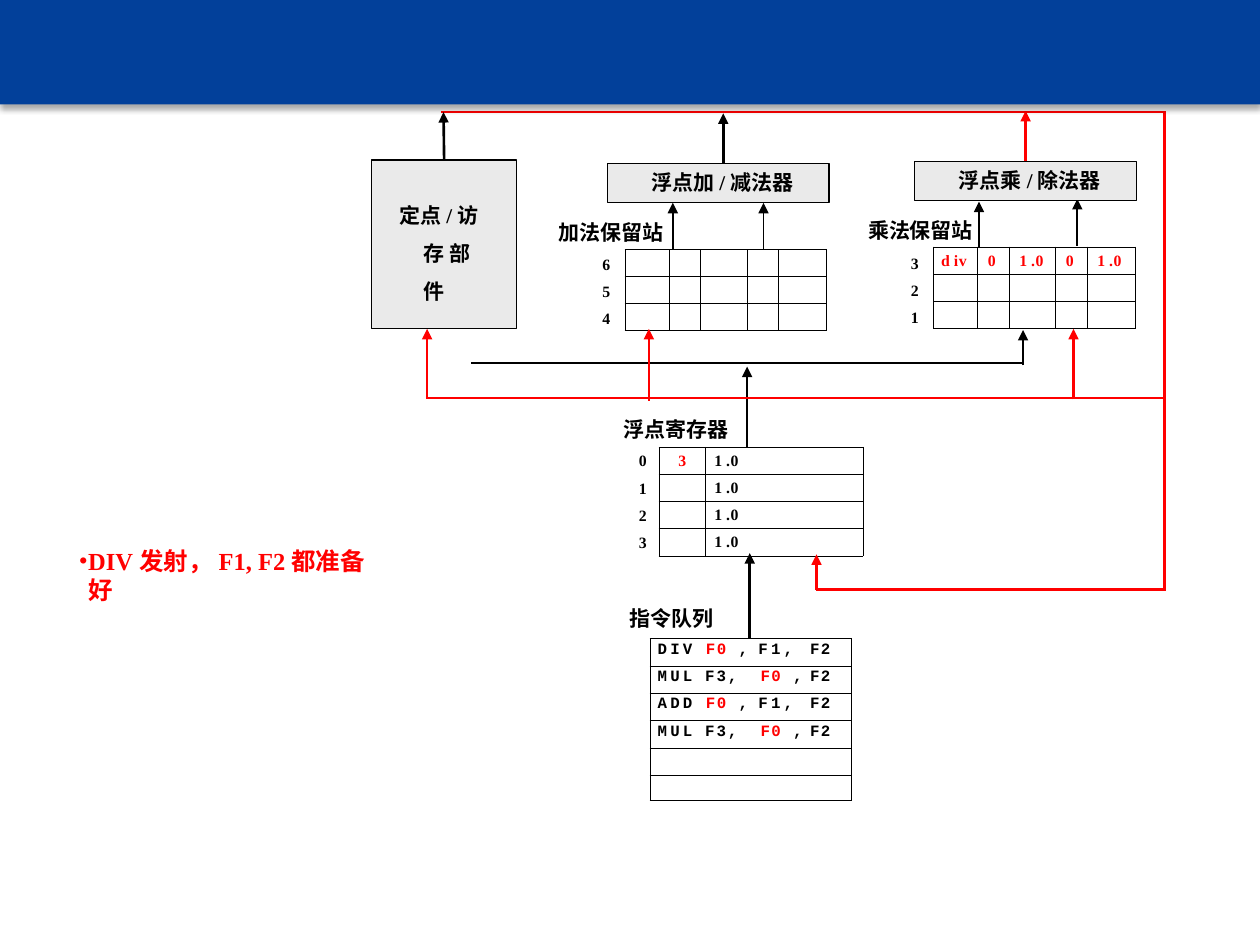
from dataclasses import dataclass, field
from itertools import groupby
from typing import NamedTuple, Optional

from lxml import etree
from pptx import Presentation
from pptx.dml.color import RGBColor
from pptx.enum import shapes, text
from pptx.oxml import ns
from pptx.util import Inches, Pt

COLORS = {"black": "000000", "red": "FF0000", "gray": "EAEAEA", "blue": "02409A"}
LATIN, CJK, MONO = "Times New Roman", "Noto Sans CJK SC", "Courier New"
LEFT, CENTER, RIGHT = text.PP_ALIGN.LEFT, text.PP_ALIGN.CENTER, text.PP_ALIGN.RIGHT


class Run(NamedTuple):
    text: str
    color: str = "black"
    spacing: float = 0


class Wire(NamedTuple):
    start: tuple
    end: tuple
    color: str = "black"
    arrow: bool = True
    width: float = 1.5


class Label(NamedTuple):
    text: str
    left: float
    top: float
    width: float


class Unit(NamedTuple):
    text: str
    left: float
    top: float
    width: float
    height: float
    insets: tuple
    indent: tuple
    line_spacing: float = 1.0


class RowNumbers(NamedTuple):
    numbers: str
    left: float
    top: float


@dataclass
class Grid:
    left: float
    top: float
    columns: list
    rows: list
    cells: dict = field(default_factory=dict)
    font: str = LATIN
    margin_top: float = 0.04
    indents: tuple = (0, 0, 0, 0, 0)
    aligns: tuple = (LEFT,) * 5
    merged_rows: tuple = ()
    inner_lines: bool = True


def rgb(name: str) -> RGBColor:
    return RGBColor.from_string(COLORS[name])


def child(parent, tag: str, **attributes):
    return etree.SubElement(parent, ns.qn(tag), {k: str(v) for k, v in attributes.items()})


def set_frame(frame, insets: tuple) -> None:
    frame.word_wrap = True
    frame.auto_size = text.MSO_AUTO_SIZE.NONE
    frame.vertical_anchor = text.MSO_ANCHOR.TOP
    frame.margin_left, frame.margin_top, frame.margin_right, frame.margin_bottom = map(Inches, insets)


def set_paragraph(paragraph, size: float, color: str = "black", before: float = 0,
                  indent: tuple = (0, 0), align=LEFT) -> None:
    paragraph.alignment = align
    paragraph.space_before = Pt(before)
    properties = paragraph._p.get_or_add_pPr()
    properties.set("marL", str(Inches(indent[0])))
    properties.set("indent", str(Inches(indent[1])))
    paragraph.font.size, paragraph.font.bold = Pt(size), True
    paragraph.font.color.rgb = rgb(color)


def add_mixed_text(paragraph, content: str) -> None:
    """Add one run for each stretch of Latin or Chinese characters."""
    for chinese, letters in groupby(content, key=lambda letter: letter > "\u2e80"):
        run = paragraph.add_run()
        run.text = "".join(letters)
        run.font.name = CJK if chinese else LATIN
        child(run._r.get_or_add_rPr(), "a:ea", typeface=CJK)


def add_wire(slide, wire: Wire):
    connector = slide.shapes.add_connector(
        shapes.MSO_CONNECTOR.STRAIGHT, *map(Inches, wire.start + wire.end))
    connector.line.color.rgb = rgb(wire.color)
    connector.line.width = Pt(wire.width)
    if wire.arrow:
        child(connector.line._get_or_add_ln(), "a:tailEnd", type="triangle", w="med", len="med")
    child(connector._element.spPr, "a:effectLst")
    return connector


def add_rectangle(slide, left, top, width, height, fill: str):
    shape = slide.shapes.add_shape(
        shapes.MSO_SHAPE.RECTANGLE, *map(Inches, (left, top, width, height)))
    shape.shadow.inherit = False
    shape.fill.solid()
    shape.fill.fore_color.rgb = rgb(fill)
    return shape


def add_unit(slide, unit: Unit):
    shape = add_rectangle(slide, unit.left, unit.top, unit.width, unit.height, "gray")
    shape.line.color.rgb = rgb("black")
    shape.line.width = Pt(0.75)
    set_frame(shape.text_frame, unit.insets)
    paragraph = shape.text_frame.paragraphs[0]
    set_paragraph(paragraph, 12, indent=unit.indent)
    paragraph.line_spacing = unit.line_spacing
    add_mixed_text(paragraph, unit.text)
    return shape


def add_label(slide, label: Label) -> None:
    box = slide.shapes.add_textbox(*map(Inches, (label.left, label.top, label.width, 0.23)))
    set_frame(box.text_frame, (0.01, 0.01, 0, 0))
    set_paragraph(box.text_frame.paragraphs[0], 12, before=1)
    add_mixed_text(box.text_frame.paragraphs[0], label.text)


def add_row_numbers(slide, column: RowNumbers) -> None:
    height = 0.03 + 0.22 * len(column.numbers)
    box = slide.shapes.add_textbox(*map(Inches, (column.left, column.top, 0.09, height)))
    set_frame(box.text_frame, (0.01, 0.08, 0, 0))
    box.text_frame.text = "\n".join(column.numbers)
    for paragraph in box.text_frame.paragraphs:
        set_paragraph(paragraph, 9, before=4.8)
        paragraph.font.name = LATIN


def set_borders(cell, sides: str) -> None:
    properties = cell._tc.get_or_add_tcPr()
    for side in "LRTB":
        line = child(properties, f"a:ln{side}", w=Pt(0.5))
        if side in sides:
            child(child(line, "a:solidFill"), "a:srgbClr", val=COLORS["black"])
        else:
            child(line, "a:noFill")


def add_grid(slide, grid: Grid) -> None:
    last = len(grid.columns) - 1
    size = (grid.left, grid.top, sum(grid.columns), sum(grid.rows))
    table = slide.shapes.add_table(len(grid.rows), last + 1, *map(Inches, size)).table
    table.first_row = table.horz_banding = False
    for column, width in zip(table.columns, grid.columns):
        column.width = Inches(width)
    for r, height in enumerate(grid.rows):
        table.rows[r].height = Inches(height)
        for c in range(last + 1):
            cell = table.cell(r, c)
            cell.margin_left = cell.margin_right = cell.margin_bottom = 0
            cell.margin_top = Inches(grid.margin_top)
            whole = grid.inner_lines or r in grid.merged_rows
            set_borders(cell, "LRTB" if whole else "TB" + "L" * (c == 0) + "R" * (c == last))
            cell.fill.background()
            paragraph = cell.text_frame.paragraphs[0]
            set_paragraph(paragraph, 9, indent=(grid.indents[c], 0), align=grid.aligns[c])
            paragraph.font.name = grid.font
            for part in grid.cells.get((r, c), ()):
                run = paragraph.add_run()
                run.text = part.text
                run.font.color.rgb = rgb(part.color)
                run._r.get_or_add_rPr().set("spc", str(round(part.spacing * 100)))
            child(paragraph._p, "a:endParaRPr", sz=900)
        if r in grid.merged_rows:
            table.cell(r, 0).merge(table.cell(r, last))


def add_note(slide, content: str) -> None:
    body = slide.placeholders[1]
    body.left, body.top, body.width, body.height = map(Inches, (0.62, 4.32, 2.35, 0.5))
    set_frame(body.text_frame, (0, 0.01, 0, 0))
    paragraph = body.text_frame.paragraphs[0]
    paragraph.space_before = Pt(1)
    properties = paragraph._p.get_or_add_pPr()
    child(properties, "a:buSzPct", val=93000)
    child(properties, "a:buChar", char="•")
    set_paragraph(paragraph, 14, "red", before=1, indent=(0.08, -0.07))
    add_mixed_text(paragraph, content)


def add_banner(slide) -> None:
    banner = add_rectangle(slide, 0, 0, 10, 0.83, "blue")
    banner.line.fill.background()
    effects = banner._element.spPr.find(ns.qn("a:effectLst"))
    shadow = child(effects, "a:outerShdw", blurRad=Pt(3.5), dist=Pt(2.2), dir=5400000)
    child(child(shadow, "a:srgbClr", val=COLORS["black"]), "a:alpha", val=32000)


def operation(name: str) -> list:
    return [Run(name[:2], spacing=1.8), Run(name[2] + " ")]


F0 = [Run("F0 ", "red", 0.8), Run(",")]
F1 = [Run("F1", spacing=1.8), Run(", ")]
F2 = [Run("F2", spacing=0.8)]
F3 = [Run("F3, ", spacing=1.1)]
QUEUE = [("DIV", F0, F1), ("MUL", F3, F0), ("ADD", F0, F1), ("MUL", F3, F0)]
ONE = [Run("1 "), Run(".0", spacing=0.3)]
RED_ONE = [part._replace(color="red") for part in ONE]
DIVISION = [[Run("d ", "red"), Run("iv", "red", 0.4)], [Run("0", "red")], RED_ONE,
            [Run("0", "red")], RED_ONE]
STATION_COLUMNS, STATION_ROWS = [0.35, 0.25, 0.37, 0.25, 0.38], [0.215] * 3

GRIDS = [
    Grid(5.16, 5.07, [0.41, 0.4, 0.4, 0.39], [0.217] * 5 + [0.2],
         {(r, c): part for r, (name, target, source) in enumerate(QUEUE)
          for c, part in enumerate((operation(name), target, source, F2))},
         font=MONO, margin_top=0.02, indents=(0, 0, 0, 0.06),
         aligns=(RIGHT, CENTER, RIGHT, LEFT), merged_rows=(4, 5), inner_lines=False),
    Grid(5.23, 3.55, [0.37, 1.25], [0.216] * 4,
         {(0, 0): [Run("3", "red")], **{(r, 1): ONE for r in range(4)}},
         indents=(0, 0.07), aligns=(CENTER, LEFT)),
    Grid(4.96, 1.98, STATION_COLUMNS, STATION_ROWS),
    Grid(7.41, 1.96, STATION_COLUMNS, STATION_ROWS,
         {(0, c): part for c, part in enumerate(DIVISION)},
         indents=(0.06, 0.08, 0.08, 0.08, 0.08)),
]
ROW_NUMBERS = [RowNumbers("0123", 5.06, 3.5), RowNumbers("654", 4.77, 1.94),
               RowNumbers("321", 7.22, 1.93)]
LABELS = [Label("加法保留站", 4.42, 1.73, 0.87), Label("浮点寄存器", 4.94, 3.3, 0.87),
          Label("乘法保留站", 6.88, 1.72, 0.87), Label("指令队列", 4.99, 4.8, 0.7)]
MEMORY = Unit("定点/访存 部件", 2.95, 1.27, 1.15, 1.34, (0, 0.24, 0.25, 0), (0.41, -0.19), 1.5)
ADDER = Unit("浮点加/减法器", 4.82, 1.3, 1.76, 0.31, (0, 0.05, 0, 0), (0.35, 0))
MULTIPLIER = Unit("浮点乘/除法器", 7.26, 1.28, 1.76, 0.31, (0, 0.05, 0, 0), (0.35, 0))
WIRES = [
    Wire((5.34, 1.98), (5.34, 1.61), width=1), Wire((6.06, 1.98), (6.06, 1.61), width=1),
    Wire((7.77, 1.96), (7.77, 1.6), width=1), Wire((8.55, 1.95), (8.55, 1.58), width=1),
    Wire((5.95, 5.07), (5.95, 4.39)), Wire((8.12, 2.9), (8.12, 2.62)),
    Wire((5.74, 1.3), (5.74, 0.9)), Wire((5.93, 3.55), (5.93, 2.91)),
    Wire((3.74, 2.88), (8.12, 2.88), arrow=False),
    Wire((3.5, 0.89), (9.25, 0.89), "red", False), Wire((9.24, 0.89), (9.24, 4.68), "red", False),
    Wire((6.48, 4.68), (9.25, 4.68), "red", False), Wire((3.38, 3.16), (9.25, 3.16), "red", False),
    Wire((5.15, 3.18), (5.15, 2.61), "red"), Wire((8.52, 3.17), (8.52, 2.61), "red"),
    Wire((6.48, 4.68), (6.48, 4.4), "red"), Wire((3.39, 3.16), (3.39, 2.61), "red"),
]
OUTPUTS = [(MEMORY, Wire((3.52, 1.27), (3.52, 0.89))),
           (MULTIPLIER, Wire((8.14, 1.28), (8.14, 0.88), "red"))]


def main() -> None:
    presentation = Presentation()
    presentation.slide_width, presentation.slide_height = Inches(10), Inches(7.5)
    slide = presentation.slides.add_slide(presentation.slide_layouts[1])
    title = slide.shapes.title._element
    title.getparent().remove(title)
    add_note(slide, "DIV发射，F1, F2都准备好")
    for draw, items in ((add_grid, GRIDS), (add_row_numbers, ROW_NUMBERS),
                        (add_wire, WIRES), (add_label, LABELS)):
        for item in items:
            draw(slide, item)
    add_unit(slide, ADDER)
    for unit, wire in OUTPUTS:
        shape = add_unit(slide, unit)
        add_wire(slide, wire).begin_connect(shape, 0)
    add_banner(slide)
    presentation.save("out.pptx")


if __name__ == "__main__":
    main()
